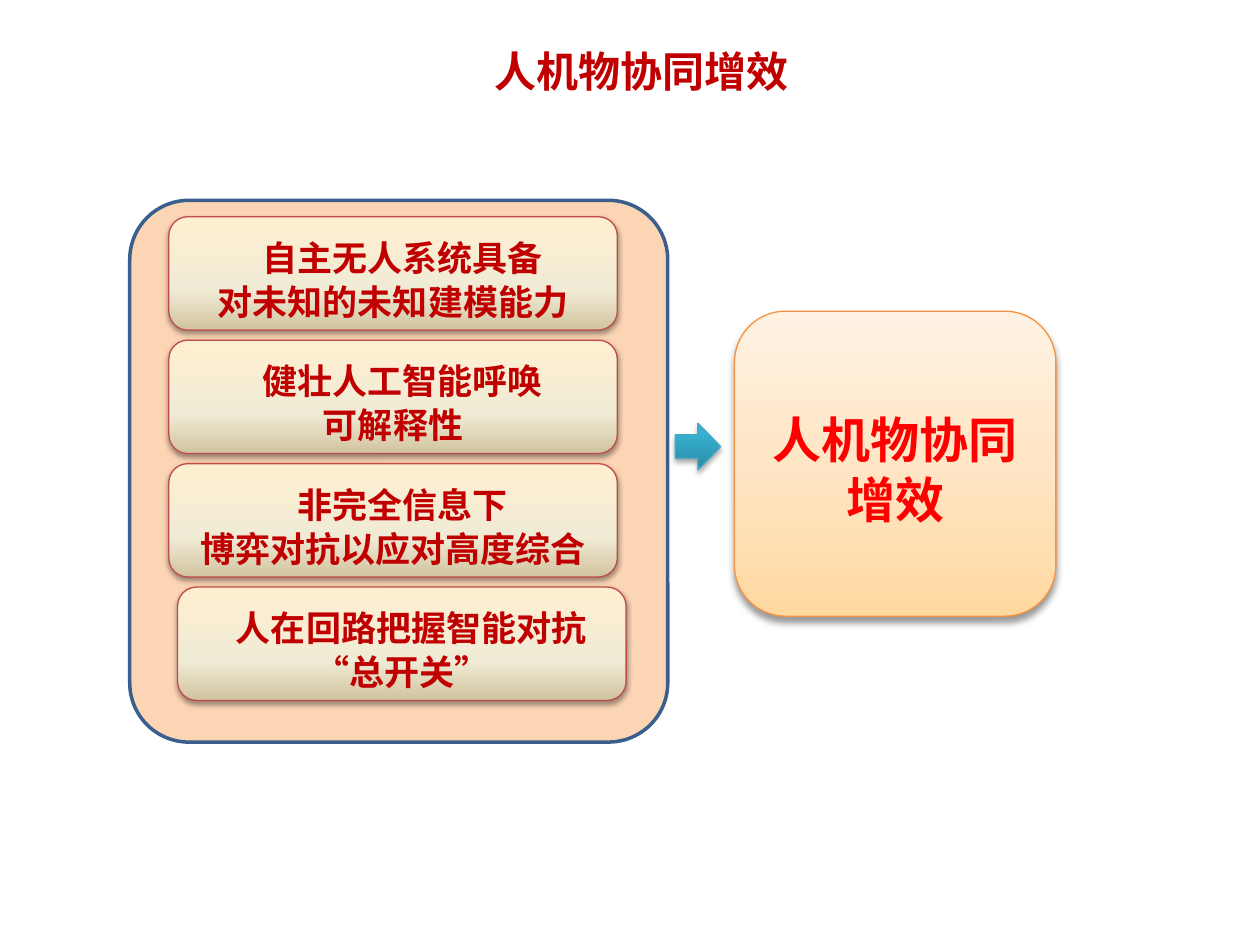
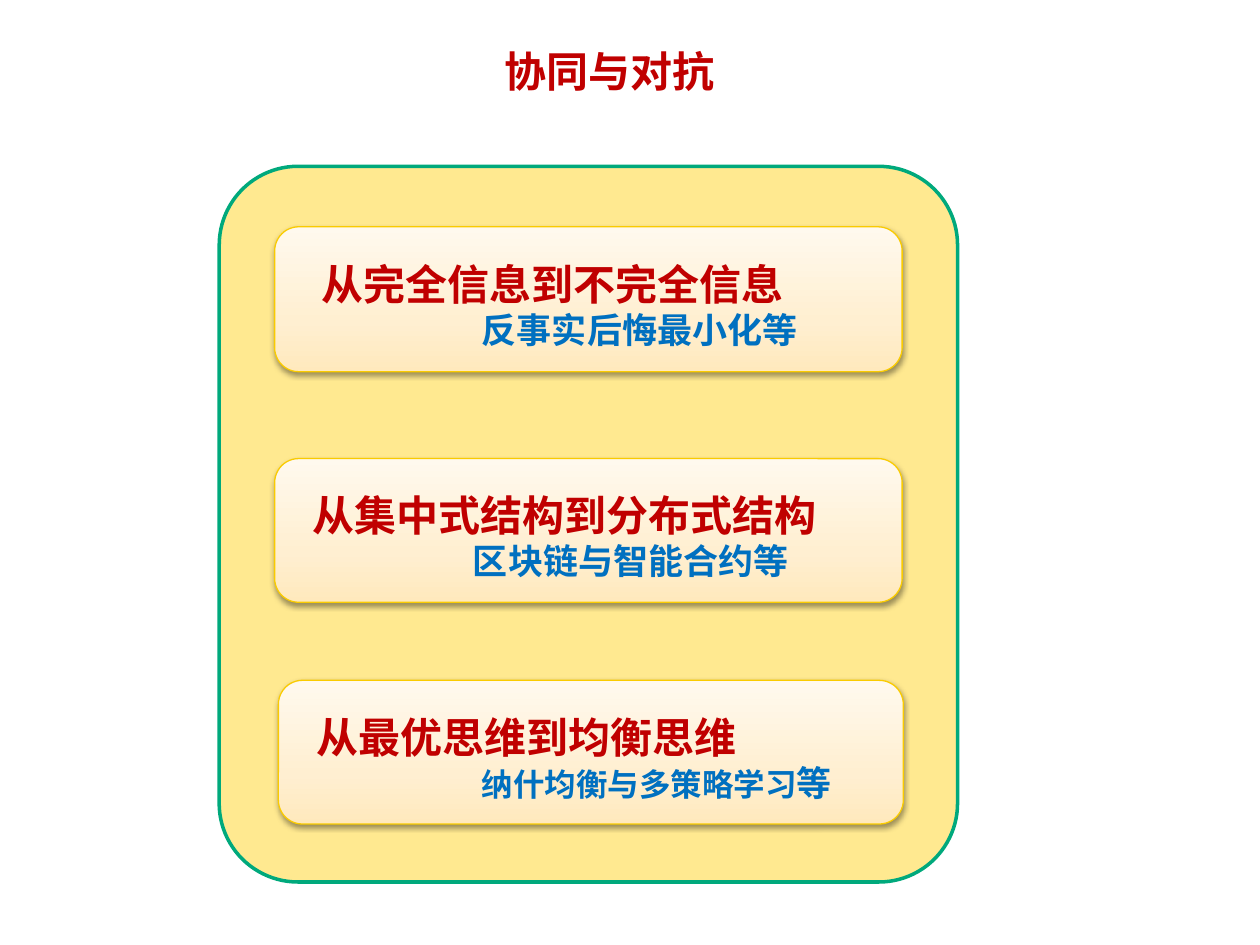
import dataclasses

import lxml.etree
import pptx
import pptx.dml.color
import pptx.enum.shapes
import pptx.enum.text
import pptx.oxml.ns
import pptx.util

RGBColor = pptx.dml.color.RGBColor
SHAPES = pptx.enum.shapes.MSO_SHAPE
CENTER = pptx.enum.text.PP_ALIGN.CENTER
LEFT = pptx.enum.text.PP_ALIGN.LEFT

SLIDE_WIDTH = pptx.util.Inches(10)
SLIDE_HEIGHT = pptx.util.Inches(7.5)
COLUMNS = 100
CELL = SLIDE_WIDTH // COLUMNS

LATIN_FONT = "Times New Roman"
CHINESE_FONT = "Noto Sans CJK SC"

DARK_RED = RGBColor(0xC0, 0x00, 0x00)
RED = RGBColor(0xFF, 0x00, 0x00)
BLUE = RGBColor(0x00, 0x70, 0xC0)
BLACK = RGBColor(0x00, 0x00, 0x00)
PEACH = RGBColor(0xFC, 0xD5, 0xB5)
NAVY = RGBColor(0x3A, 0x5F, 0x8C)
YELLOW = RGBColor(0xFF, 0xE9, 0x90)
GREEN = RGBColor(0x00, 0xA9, 0x7C)
BRICK = RGBColor(0xBF, 0x4C, 0x48)
TEAL = RGBColor(0x46, 0xAA, 0xC5)
ORANGE = RGBColor(0xF6, 0x92, 0x40)
GOLD = RGBColor(0xFA, 0xCB, 0x00)
CREAM = RGBColor(0xFF, 0xEF, 0xD1)

SAND_STOPS = ((0, CREAM), (65, RGBColor(0xF0, 0xEB, 0xD5)), (100, RGBColor(0xD1, 0xC3, 0x9F)))
TEAL_STOPS = ((0, RGBColor(0x2A, 0x88, 0xA2)), (80, RGBColor(0x37, 0xB1, 0xD2)),
              (100, RGBColor(0x34, 0xB4, 0xD6)))
ORANGE_STOPS = ((0, RGBColor(0xFF, 0xD8, 0xA0)), (50, RGBColor(0xFF, 0xE6, 0xC5)),
                (100, RGBColor(0xFF, 0xF2, 0xE3)))
IVORY_STOPS = ((0, RGBColor(0xFF, 0xE9, 0xBD)), (35, CREAM), (100, RGBColor(0xFF, 0xF9, 0xEE)))

DOWNWARD, UPWARD = 90, 270
CARD_SHADOW = (38, 3.1, 1.6)
ARROW_SHADOW = (35, 3.1, 1.8)
RESULT_SHADOW = (40, 4, 3)
CARD_INSETS = (1, 0.8, 1, 0)

CHALLENGES = (
    ("自主无人系统具备", "对未知的未知建模能力"),
    ("健壮人工智能呼唤", "可解释性"),
    ("非完全信息下", "博弈对抗以应对高度综合"),
    ("人在回路把握智能对抗", "“总开关”"),
)


@dataclasses.dataclass
class Box:
    """A rectangle measured in grid cells."""

    left: float
    top: float
    width: float
    height: float

    def inner(self, left, top, width, height):
        """Return a box placed relative to this one."""
        return Box(self.left + left, self.top + top, width, height)

    def lengths(self):
        """Return the four lengths in slide units."""
        return [round(length * CELL)
                for length in (self.left, self.top, self.width, self.height)]


@dataclasses.dataclass
class Line:
    """One paragraph made of (text, size) pieces."""

    pieces: tuple
    color: RGBColor
    leading: float
    indent: float = 0
    alignment: int = CENTER
    font: str = LATIN_FONT


def add_element(parent, tag, **attributes):
    """Append a drawing element with the given attributes."""
    element = lxml.etree.SubElement(parent, pptx.oxml.ns.qn(tag))
    for name, value in attributes.items():
        element.set(name, str(value))
    return element


def fill_gradient(shape, stops, angle):
    """Fill a shape with a linear gradient."""
    shape.fill.background()
    properties = shape._element.spPr
    empty_fill = properties.find(pptx.oxml.ns.qn("a:noFill"))
    gradient = lxml.etree.Element(pptx.oxml.ns.qn("a:gradFill"), rotWithShape="1")
    stop_list = add_element(gradient, "a:gsLst")
    for position, color in stops:
        stop = add_element(stop_list, "a:gs", pos=position * 1000)
        add_element(stop, "a:srgbClr", val=color)
    add_element(gradient, "a:lin", ang=angle * 60000, scaled=0)
    properties.replace(empty_fill, gradient)


def cast_shadow(shape, opacity, blur, distance):
    """Give a shape a soft shadow falling downward."""
    effects = shape._element.spPr.find(pptx.oxml.ns.qn("a:effectLst"))
    shadow = add_element(effects, "a:outerShdw", blurRad=pptx.util.Pt(blur),
                         dist=pptx.util.Pt(distance), dir=DOWNWARD * 60000, rotWithShape=0)
    color = add_element(shadow, "a:srgbClr", val=BLACK)
    add_element(color, "a:alpha", val=opacity * 1000)


def add_outlined(slide, kind, box, line_color, line_width=0.75):
    """Add a preset shape with a coloured outline and no inherited shadow."""
    shape = slide.shapes.add_shape(kind, *box.lengths())
    shape.line.color.rgb = line_color
    shape.line.width = pptx.util.Pt(line_width)
    shape.shadow.inherit = False
    return shape


def add_panel(slide, box, fill_color, line_color):
    """Add the flat rounded panel that holds the cards."""
    panel = add_outlined(slide, SHAPES.ROUNDED_RECTANGLE, box, line_color, 2)
    panel.adjustments[0] = 0.11
    panel.fill.solid()
    panel.fill.fore_color.rgb = fill_color


def add_raised(slide, kind, box, line_color, stops, angle, shadow):
    """Add a gradient shape with a shadow."""
    shape = add_outlined(slide, kind, box, line_color)
    fill_gradient(shape, stops, angle)
    cast_shadow(shape, *shadow)
    return shape


def write_lines(shape, lines, insets):
    """Write paragraphs into a shape, centred vertically."""
    frame = shape.text_frame
    frame.word_wrap = True
    frame.vertical_anchor = pptx.enum.text.MSO_ANCHOR.MIDDLE
    frame.margin_left, frame.margin_top, frame.margin_right, frame.margin_bottom = [
        round(inset * CELL) for inset in insets]
    frame.text = "\n".join(line.pieces[0][0] for line in lines)
    for paragraph, line in zip(frame.paragraphs, lines):
        paragraph.alignment = line.alignment
        paragraph.line_spacing = pptx.util.Pt(line.leading)
        properties = paragraph._p.get_or_add_pPr()
        properties.set("marL", str(round(line.indent * CELL)))
        properties.set("indent", "0")
        for text, _ in line.pieces[1:]:
            paragraph.add_run().text = text
        for run, (_, size) in zip(paragraph.runs, line.pieces):
            run.font.size = pptx.util.Pt(size)
            run.font.bold = True
            run.font.color.rgb = line.color
            run.font.name = line.font
            add_element(run.font._element, "a:ea", typeface=CHINESE_FONT)


def add_title(slide, box, text, indent=0):
    """Add the slide title."""
    title = slide.shapes.add_textbox(*box.lengths())
    write_lines(title, [Line(((text, 24),), DARK_RED, 30, indent)], (1, 1.6, 1, 0.5))


def add_challenges(slide, box):
    """Add the panel of four challenge cards, the last set slightly right."""
    add_panel(slide, box, PEACH, NAVY)
    for row, (first, second) in enumerate(CHALLENGES):
        left = 3.8 if row == len(CHALLENGES) - 1 else 3.1
        card = add_raised(slide, SHAPES.ROUNDED_RECTANGLE,
                          box.inner(left, 1.3 + 9.8 * row, 35.6, 9),
                          BRICK, SAND_STOPS, DOWNWARD, CARD_SHADOW)
        lines = [Line(((first, 20),), DARK_RED, 25, 1.5),
                 Line(((second, 20),), DARK_RED, 25)]
        write_lines(card, lines, CARD_INSETS)


def add_result(slide, box):
    """Add the arrow and the result box it points to."""
    add_raised(slide, SHAPES.RIGHT_ARROW, box.inner(0, 8.9, 3.6, 3.7),
               TEAL, TEAL_STOPS, UPWARD, ARROW_SHADOW)
    result = add_raised(slide, SHAPES.ROUNDED_RECTANGLE, box.inner(4.7, 0, 25.5, 24.2),
                        ORANGE, ORANGE_STOPS, UPWARD, RESULT_SHADOW)
    line = Line((("人机物协同增效", 28),), RED, 34, font=CHINESE_FONT)
    write_lines(result, [line], (1, 1.3, 1, 0.5))


def add_shifts(slide, box):
    """Add the panel of three cards, each a shift and its method."""
    add_panel(slide, box, YELLOW, GREEN)
    shifts = (
        ((4.4, 4.8, 49.8, 11.5), "从完全信息到不完全信息", 2.2,
         (("反事实后悔最小化等", 20),), 14.9),
        ((4.4, 23.2, 49.8, 11.4), "从集中式结构到分布式结构", 1.5,
         (("区块链与智能合约等", 20),), 14.2),
        ((4.7, 40.8, 49.6, 11.4), "从最优思维到均衡思维", 1.5,
         (("纳什均衡与多策略学习", 18), ("等", 20)), 14.6),
    )
    for place, shift, shift_indent, method, method_indent in shifts:
        card = add_raised(slide, SHAPES.ROUNDED_RECTANGLE, box.inner(*place),
                          GOLD, IVORY_STOPS, UPWARD, CARD_SHADOW)
        lines = [Line(((shift, 24),), DARK_RED, 29, shift_indent, LEFT),
                 Line(method, BLUE, 24, method_indent, LEFT)]
        write_lines(card, lines, CARD_INSETS)


def build_synergy_slide(slide):
    """Build the slide on synergy of people, machines and things."""
    add_challenges(slide, Box(10.3, 15.9, 42.7, 43))
    add_result(slide, Box(53.6, 24.7, 30.2, 24.2))
    add_title(slide, Box(5.1, 1.4, 91.6, 7.2), "人机物协同增效")


def build_contest_slide(slide):
    """Build the slide on cooperation and confrontation."""
    add_title(slide, Box(3.7, 1.4, 88.4, 7.2), "协同与对抗", 0.9)
    add_shifts(slide, Box(17.4, 13.2, 58.6, 56.8))


def main():
    """Build and save the presentation."""
    presentation = pptx.Presentation()
    presentation.slide_width = SLIDE_WIDTH
    presentation.slide_height = SLIDE_HEIGHT
    blank = presentation.slide_layouts[6]
    for build in (build_synergy_slide, build_contest_slide):
        build(presentation.slides.add_slide(blank))
    presentation.save("out.pptx")


if __name__ == "__main__":
    main()
